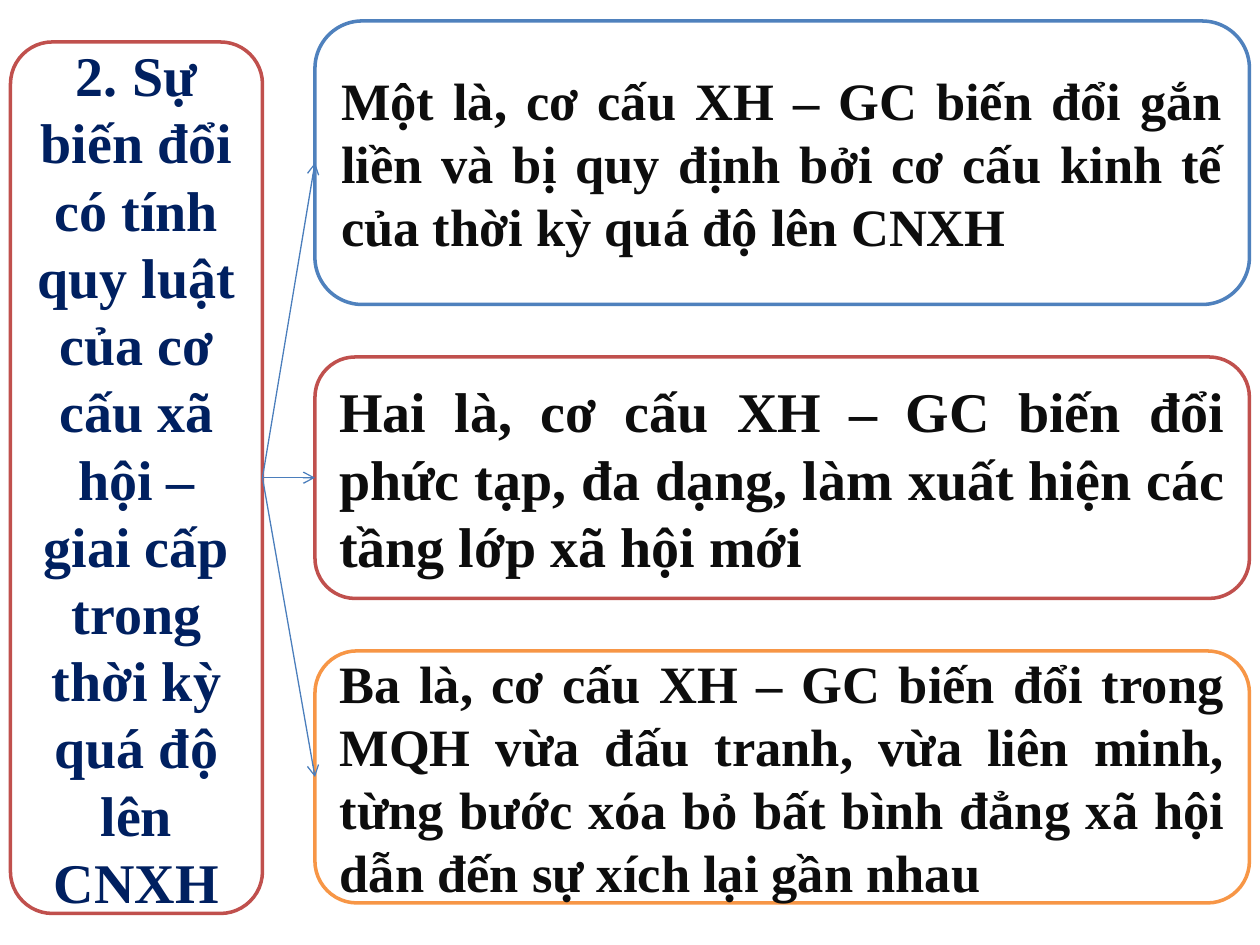
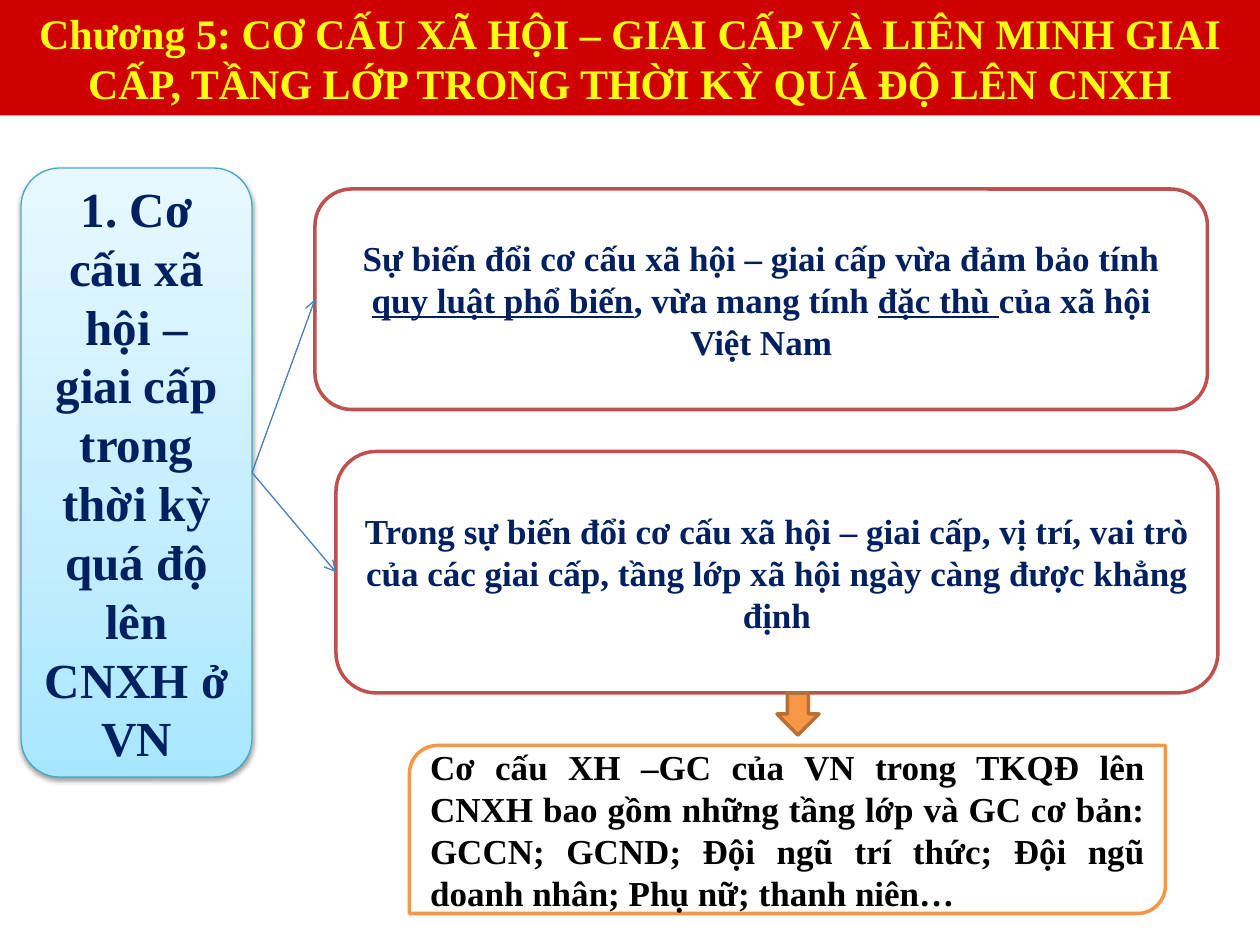
from copy import deepcopy

from lxml.etree import SubElement
from pptx import Presentation
from pptx.dml.color import RGBColor
from pptx.enum.shapes import MSO_CONNECTOR, MSO_SHAPE
from pptx.enum.text import MSO_ANCHOR, PP_ALIGN
from pptx.oxml.ns import qn
from pptx.util import Pt

FONT = "Times New Roman"
WHITE, NAVY, INK, BLACK = "FFFFFF", "002060", "0D0D0D", "000000"
BLUE, RED, ORANGE, BROWN = "4F81BD", "C0504D", "F79646", "B76F34"
TEAL, LINK = "46AAC5", "4B7EBC"
BAND, YELLOW = "CE0000", "FFFF13"
SKY_STOPS = [(0, "A7E6FF"), (0.35, "C1EDFF"), (1, "E7F8FF")]
TOP, LEFT, BOTTOM, RIGHT = range(4)


def color(hex_string):
    return RGBColor.from_string(hex_string)


def add_box(s, kind, box, line=None, fill=WHITE, width=2):
    sp = s.shapes.add_shape(kind, *map(Pt, box))
    sp.shadow.inherit = False
    sp.fill.solid()
    sp.fill.fore_color.rgb = color(fill)
    if line:
        sp.line.color.rgb = color(line)
        sp.line.width = Pt(width)
    else:
        sp.line.fill.background()
    return sp


def write(sp, runs, size, text_color=NAVY, align=PP_ALIGN.CENTER):
    tf = sp.text_frame
    tf.word_wrap = True
    tf.vertical_anchor = MSO_ANCHOR.MIDDLE
    p = tf.paragraphs[0]
    p.alignment = align
    for text, underlined in runs:
        r = p.add_run()
        r.text = text
        if underlined:
            r.font.underline = True
    p.font.name = FONT
    p.font.size = Pt(size)
    p.font.bold = True
    p.font.color.rgb = color(text_color)


def add_card(s, box, line, text, size, text_color=NAVY,
             align=PP_ALIGN.CENTER, kind=MSO_SHAPE.ROUNDED_RECTANGLE):
    sp = add_box(s, kind, box, line)
    runs = [(text, False)] if isinstance(text, str) else text
    write(sp, runs, size, text_color, align)
    return sp


def add_title_band(s, text):
    sp = add_box(s, MSO_SHAPE.RECTANGLE, (0, 0, 720, 66), fill=BAND)
    sp.text_frame.margin_top = sp.text_frame.margin_bottom = 0
    write(sp, [(text, False)], 24, YELLOW)


def add_gradient(sp, stops):
    sp.fill.gradient()
    sp.fill.gradient_angle = 90
    gs_list = sp._element.spPr.find(qn("a:gradFill")).find(qn("a:gsLst"))
    while len(gs_list) < len(stops):
        gs_list.append(deepcopy(gs_list[0]))
    for stop, (position, hex_string) in zip(sp.fill.gradient_stops, stops):
        stop.position = position
        stop.color.rgb = color(hex_string)


def add_shadow(sp):
    effects = sp._element.spPr.find(qn("a:effectLst"))
    shadow = SubElement(effects, qn("a:outerShdw"), blurRad=str(Pt(3.1)),
                        dist=str(Pt(1.6)), dir="5400000", rotWithShape="0")
    shade = SubElement(shadow, qn("a:srgbClr"), val=BLACK)
    SubElement(shade, qn("a:alpha"), val="38000")


def add_arrow(s, start, end):
    c = s.shapes.add_connector(MSO_CONNECTOR.STRAIGHT, 0, 0, 0, 0)
    c.begin_connect(start, RIGHT)
    c.end_connect(end, LEFT)
    c.line.color.rgb = color(LINK)
    c.line.width = Pt(0.75)
    spPr = c._element.spPr
    SubElement(spPr.find(qn("a:ln")), qn("a:tailEnd"), type="arrow")
    SubElement(spPr, qn("a:effectLst"))


def build_rules_slide(s):
    topic = add_card(
        s, (6, 24, 144, 498), RED,
        "2. Sự biến đổi có tính quy luật của cơ cấu xã hội – giai cấp "
        "trong thời kỳ quá độ lên CNXH", 32)
    rules = [
        (12, 162, BLUE, 30,
         "Một là, cơ cấu XH – GC biến đổi gắn liền và bị quy định bởi "
         "cơ cấu kinh tế của thời kỳ quá độ lên CNXH"),
        (204, 138, RED, 32,
         "Hai là, cơ cấu XH – GC biến đổi phức tạp, đa dạng, làm xuất hiện "
         "các tầng lớp xã hội mới"),
        (372, 144, ORANGE, 30,
         "Ba là, cơ cấu XH – GC biến đổi trong MQH vừa đấu tranh, vừa liên "
         "minh, từng bước xóa bỏ bất bình đẳng xã hội dẫn đến sự xích lại "
         "gần nhau"),
    ]
    cards = [add_card(s, (180, top, 534, height), line, text, size, INK,
                      PP_ALIGN.JUSTIFY)
             for top, height, line, size, text in rules]
    for card in cards:
        add_arrow(s, topic, card)


def build_vietnam_slide(s):
    topic = add_box(s, MSO_SHAPE.ROUNDED_RECTANGLE, (12, 96, 132, 348),
                    TEAL, width=0.75)
    add_gradient(topic, SKY_STOPS)
    add_shadow(topic)
    write(topic, [("1. Cơ cấu xã hội – giai cấp trong thời kỳ quá độ lên "
                   "CNXH ở VN", False)], 28)
    add_title_band(s, "Chương 5: CƠ CẤU XÃ HỘI – GIAI CẤP VÀ LIÊN MINH GIAI "
                      "CẤP, TẦNG LỚP TRONG THỜI KỲ QUÁ ĐỘ LÊN CNXH")
    features = [
        ((180, 108, 510, 126), [
            ("Sự biến đổi cơ cấu xã hội – giai cấp vừa đảm bảo tính ", False),
            ("quy luật phổ biến", True),
            (", vừa mang tính ", False),
            ("đặc thù ", True),
            ("của xã hội Việt Nam", False)]),
        ((192, 258, 504, 138),
         "Trong sự biến đổi cơ cấu xã hội – giai cấp, vị trí, vai trò của "
         "các giai cấp, tầng lớp xã hội ngày càng được khẳng định"),
    ]
    cards = [add_card(s, box, RED, text, 20) for box, text in features]
    add_card(s, (234, 426, 432, 96), ORANGE,
             "Cơ cấu XH –GC của VN trong TKQĐ lên CNXH bao gồm những tầng lớp "
             "và GC cơ bản: GCCN; GCND; Đội ngũ trí thức; Đội ngũ doanh nhân; "
             "Phụ nữ; thanh niên…", 20, BLACK, PP_ALIGN.JUSTIFY,
             MSO_SHAPE.ROUND_2_DIAG_RECTANGLE)
    add_box(s, MSO_SHAPE.DOWN_ARROW, (444, 396, 24, 24), BROWN, ORANGE)
    for card in cards:
        add_arrow(s, topic, card)


def main():
    prs = Presentation()
    prs.slide_width, prs.slide_height = Pt(720), Pt(540)
    for build in (build_rules_slide, build_vietnam_slide):
        build(prs.slides.add_slide(prs.slide_layouts[6]))
    prs.save("out.pptx")


if __name__ == "__main__":
    main()
